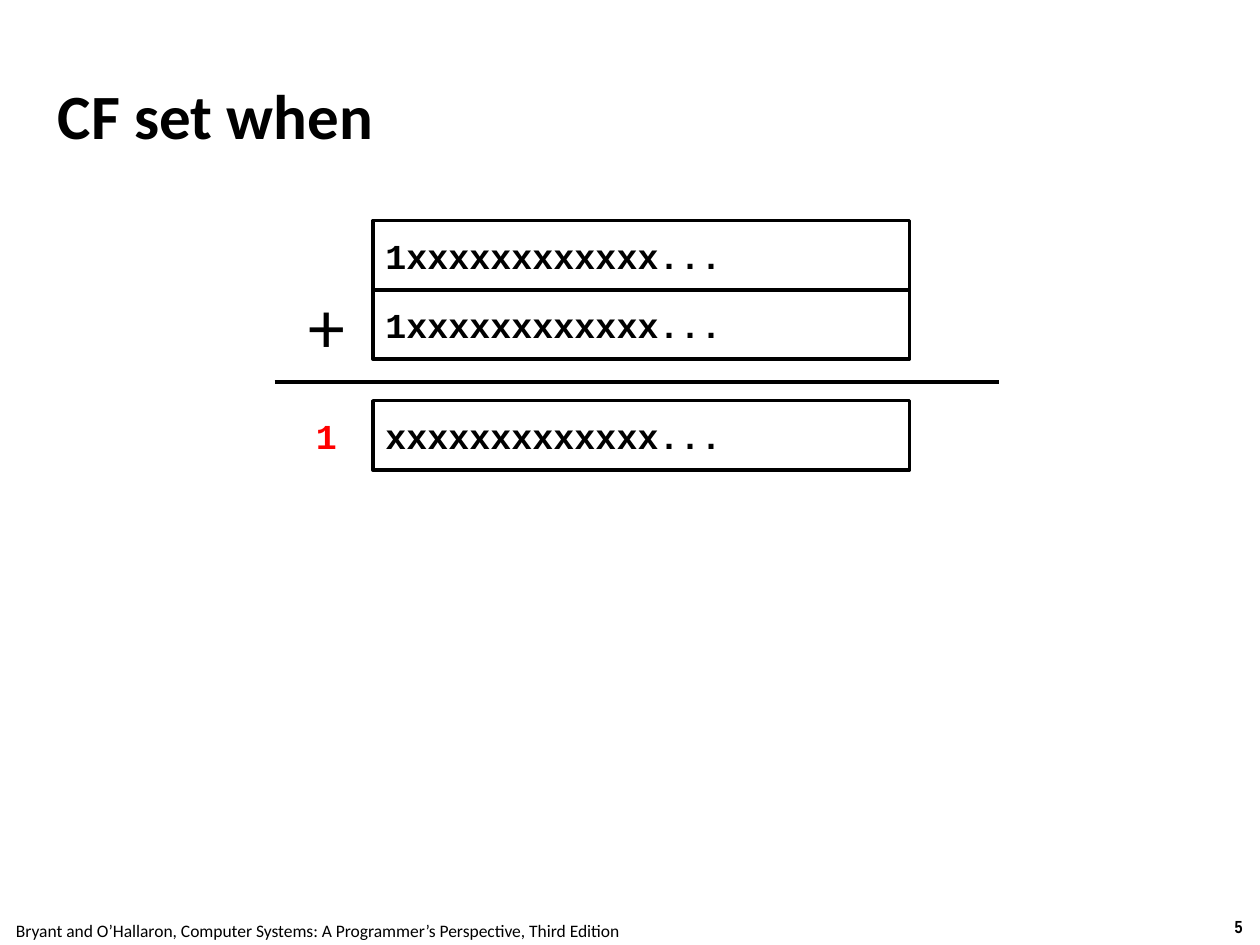
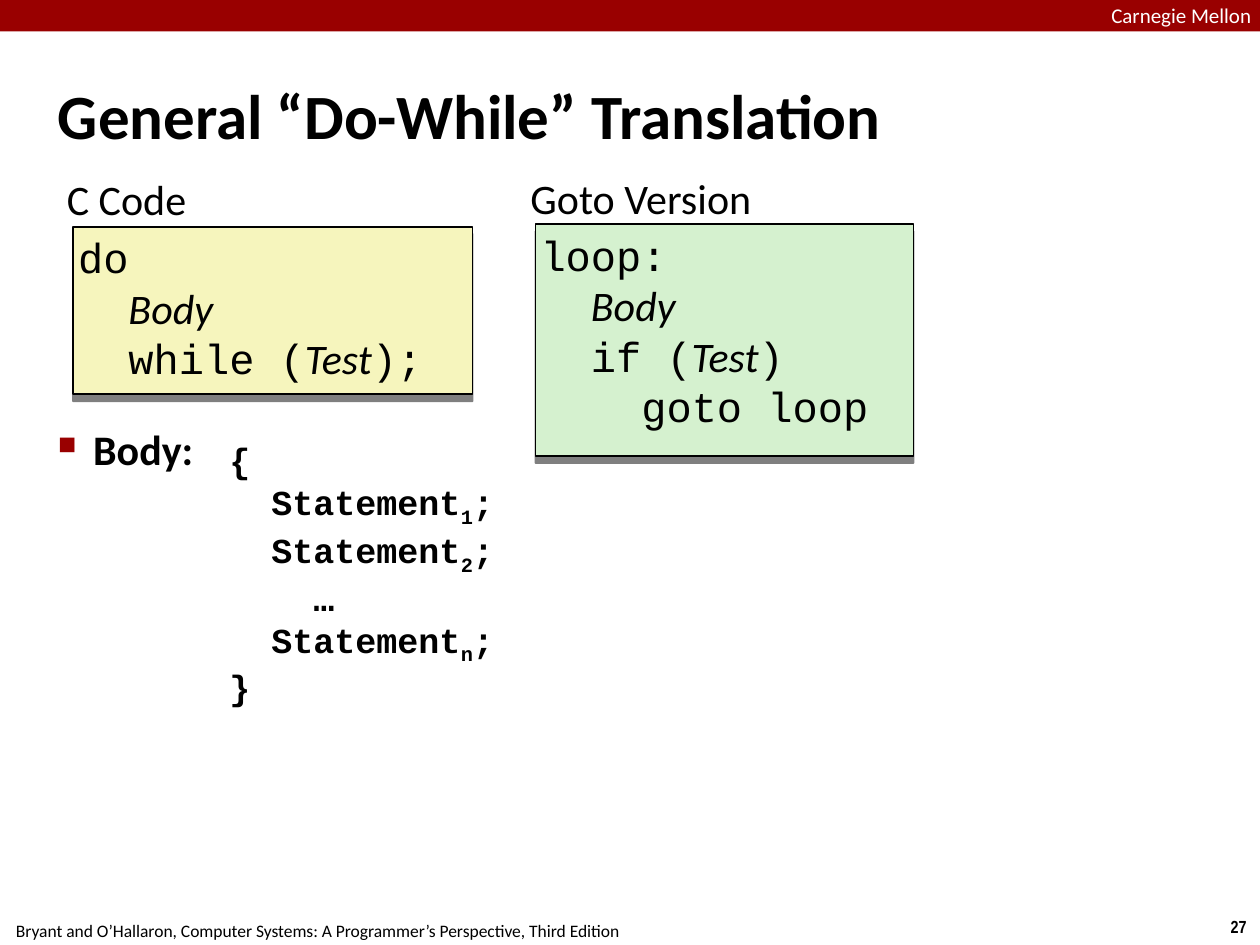
from lxml import etree
from pptx import Presentation
from pptx.dml.color import RGBColor
from pptx.enum.shapes import MSO_CONNECTOR, MSO_SHAPE
from pptx.enum.text import MSO_ANCHOR, PP_ALIGN
from pptx.oxml import parse_xml
from pptx.oxml.ns import nsdecls, qn
from pptx.util import Inches, Pt

COLORS = {
    "ink": "000000",
    "paper": "FFFFFF",
    "crimson": "990000",
    "carry": "FF0000",
    "c_code": "F6F5BD",
    "goto": "D5F1CF",
}
TITLE = {"name": "Calibri", "size": Pt(36), "bold": True}
PLUS = {"name": "Calibri", "size": Pt(42)}
HEADING = {"name": "Calibri", "size": Pt(24)}
TERM = {**HEADING, "italic": True}
CODE = {"name": "Courier New", "size": Pt(24)}
BOLD_CODE = {"name": "Courier New", "size": Pt(20), "bold": True}
FOOTER = {"name": "Calibri", "size": Pt(10)}
PAGE = {"name": "Arial Narrow", "size": Pt(10), "bold": True}
BAND = {"name": "Calibri", "size": Pt(12)}

WIDE = (0.1, 0.05)
NARROW = (0.04, 0.04)
NO_INSET = (0, 0)
SUBSCRIPT = "-25000"
CREDIT = ("Bryant and O’Hallaron, Computer Systems: "
          "A Programmer’s Perspective, Third Edition")


def rgb(name):
    return RGBColor.from_string(COLORS[name])


class Deck:
    def __init__(self):
        self.prs = Presentation()
        self.prs.slide_width = Inches(10)
        self.prs.slide_height = Inches(7.5)
        self.slide = None

    def new_slide(self, title, page):
        self.slide = self.prs.slides.add_slide(self.prs.slide_layouts[6])
        self.text((9.66, 7.22, 0.34, 0.27), page, PAGE, centered=True, wrap=False)
        self.text((-0.02, 7.25, 5.08, 0.27), CREDIT, FOOTER, centered=True, wrap=False)
        self.text((0.42, 0.28, 9.17, 1.25), title, TITLE, inset=NARROW, middle=True)

    def fill_text(self, shape, lines, style, color="ink", inset=WIDE,
                  centered=False, middle=False, wrap=True):
        """Fill a shape with one string, or with lines of (text, style, baseline) runs."""
        frame = shape.text_frame
        side, edge = (Inches(length) for length in inset)
        layout = {
            "word_wrap": wrap,
            "vertical_anchor": MSO_ANCHOR.MIDDLE if middle else MSO_ANCHOR.TOP,
            "margin_left": side, "margin_right": side,
            "margin_top": edge, "margin_bottom": edge,
        }
        for key, value in layout.items():
            setattr(frame, key, value)
        if isinstance(lines, str):
            lines = [[(lines, style, None)]]
        for index, pieces in enumerate(lines):
            paragraph = frame.paragraphs[0] if index == 0 else frame.add_paragraph()
            paragraph.alignment = PP_ALIGN.CENTER if centered else PP_ALIGN.LEFT
            for words, piece_style, baseline in pieces:
                run = paragraph.add_run()
                run.text = words
                for key, value in piece_style.items():
                    setattr(run.font, key, value)
                run.font.color.rgb = rgb(color)
                if baseline:
                    run.font._element.set("baseline", baseline)

    def text(self, place, lines, style, **options):
        box = self.slide.shapes.add_textbox(*map(Inches, place))
        self.fill_text(box, lines, style, **options)
        return box

    def rectangle(self, place, fill=None, line_width=None):
        box = self.slide.shapes.add_shape(MSO_SHAPE.RECTANGLE, *map(Inches, place))
        box.shadow.inherit = False
        if fill:
            box.fill.solid()
            box.fill.fore_color.rgb = rgb(fill)
        else:
            box.fill.background()
        if line_width:
            box.line.color.rgb = rgb("ink")
            box.line.width = Pt(line_width)
        else:
            box.line.fill.background()
        return box

    def register(self, place, bits):
        self.fill_text(self.rectangle(place, line_width=2), bits, BOLD_CODE, middle=True)

    def rule(self, left, right, top):
        line = self.slide.shapes.add_connector(
            MSO_CONNECTOR.STRAIGHT, *map(Inches, (left, top, right, top)))
        line.line.color.rgb = rgb("ink")
        line.line.width = Pt(2)
        etree.SubElement(line._element.spPr, qn("a:effectLst"))

    def band(self, label):
        self.rectangle((0, 0, 10.01, 0.25), "crimson")
        self.text((8.82, 0.02, 1.44, 0.19), label, BAND, color="paper", inset=NO_INSET)

    def listing(self, place, fill, lines):
        """Draw a code panel with a hard shadow below it."""
        panel = self.rectangle(place, fill, line_width=1)
        effects = panel._element.spPr.find(qn("a:effectLst"))
        effects.append(parse_xml(
            f'<a:outerShdw {nsdecls("a")} blurRad="0" dist="{Pt(4)}" dir="5400000" '
            f'algn="t" rotWithShape="0"><a:srgbClr val="{COLORS["ink"]}">'
            '<a:alpha val="50000"/></a:srgbClr></a:outerShdw>'))
        self.fill_text(panel, lines, CODE, inset=NARROW)

    def bullet(self, place, words):
        box = self.text(place, words, {**HEADING, "bold": True}, inset=NARROW)
        props = box.text_frame.paragraphs[0]._p.get_or_add_pPr()
        props.set("marL", str(Inches(0.28)))
        props.set("indent", str(-Inches(0.28)))
        color = etree.SubElement(props, qn("a:buClr"))
        etree.SubElement(color, qn("a:srgbClr"), val=COLORS["crimson"])
        etree.SubElement(props, qn("a:buSzPct"), val="60000")
        etree.SubElement(props, qn("a:buChar"), char="■")


def code(words):
    return words, CODE, None


def term(words):
    return words, TERM, None


def statement(subscript):
    return [("  Statement", BOLD_CODE, None), (subscript, BOLD_CODE, SUBSCRIPT),
            (";", BOLD_CODE, None)]


def carry_flag(deck):
    deck.new_slide("CF set when", "5")
    operand = "1xxxxxxxxxxxx..."
    for top, bits in ((1.75, operand), (2.3, operand), (3.18, "xxxxxxxxxxxxx...")):
        deck.register((2.96, top, 4.26, 0.55), bits)
    deck.rule(2.18, 7.93, 3.03)
    deck.text((2.34, 2.17, 0.5, 0.81), "+", PLUS, centered=True)
    deck.text((2.34, 3.24, 0.5, 0.44), "1", BOLD_CODE, color="carry", centered=True)


def do_while(deck):
    deck.new_slide("General “Do-While” Translation", "27")
    deck.band("Carnegie Mellon")
    body = [code("  "), term("Body")]
    deck.text((0.49, 1.34, 2.86, 0.49), "C Code", HEADING, inset=NARROW)
    deck.listing((0.58, 1.8, 3.17, 1.33), "c_code", [
        [code("do")],
        body,
        [code("  while ("), term("Test"), code(");")],
    ])
    deck.text((4.17, 1.33, 2.53, 0.49), "Goto Version", HEADING, inset=NARROW)
    deck.listing((4.25, 1.78, 3, 1.84), "goto", [
        [code("loop:")],
        body,
        [code("  if ("), term("Test"), code(")")],
        [code("    goto loop")],
    ])
    deck.bullet((0.42, 3.32, 9.17, 4.15), "Body:")
    deck.text((1.78, 3.44, 2.43, 2.47), [
        [("{", BOLD_CODE, None)],
        statement("1"),
        statement("2"),
        [("    …", BOLD_CODE, None)],
        statement("n"),
        [("}", BOLD_CODE, None)],
    ], BOLD_CODE, inset=NARROW)


def main():
    deck = Deck()
    carry_flag(deck)
    do_while(deck)
    deck.prs.save("out.pptx")


if __name__ == "__main__":
    main()
